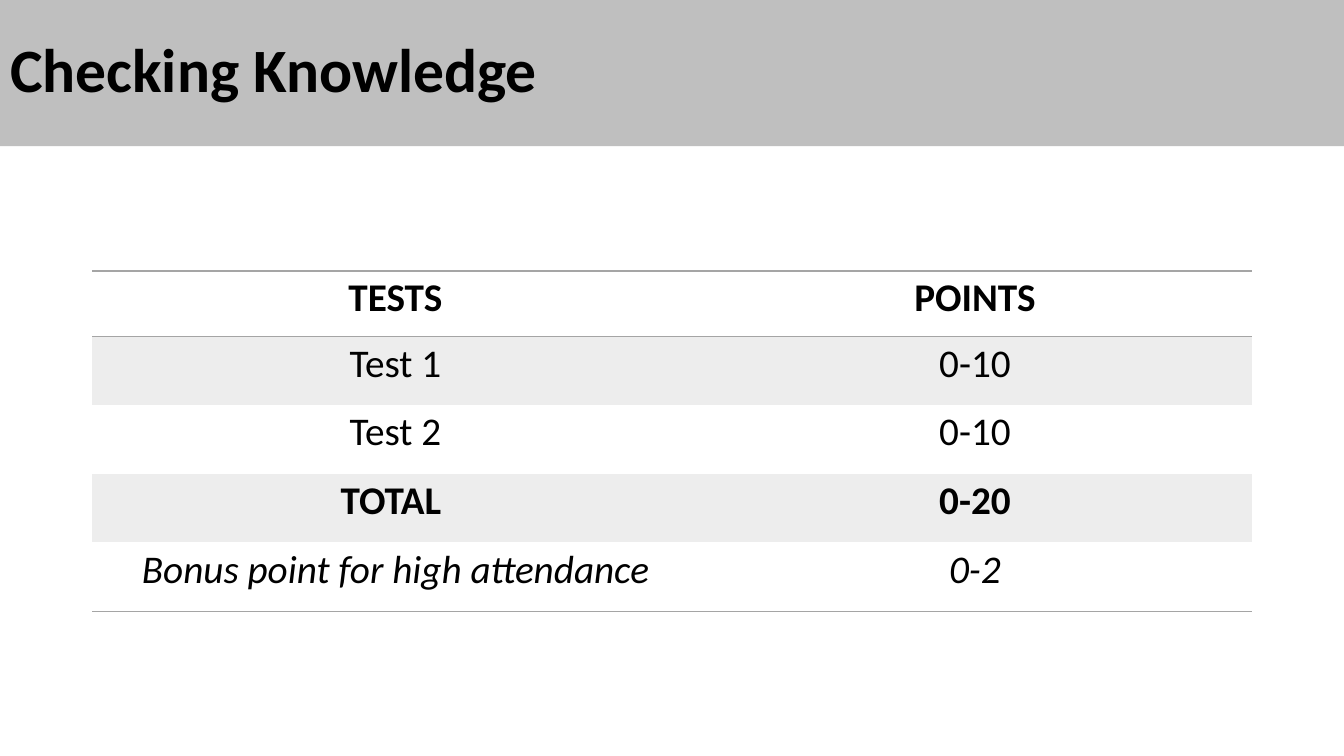
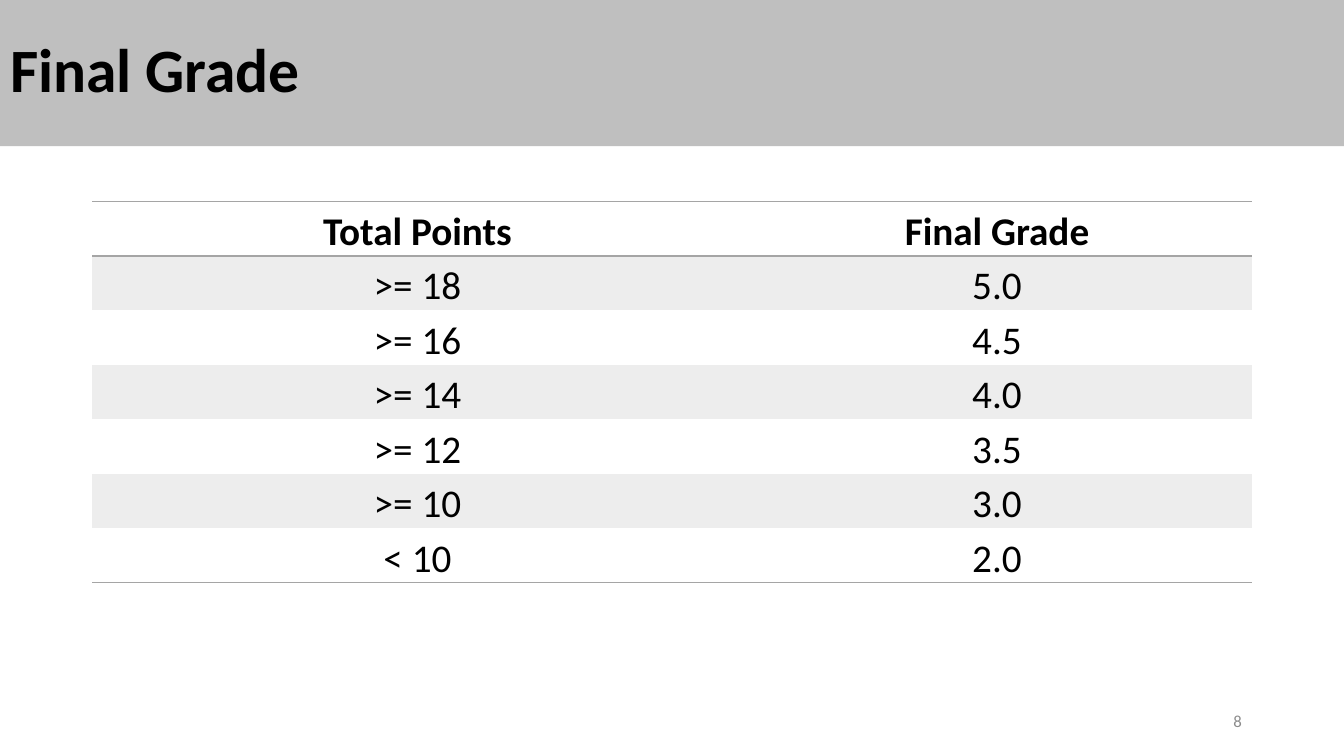
from dataclasses import dataclass

from lxml import etree
from pptx import Presentation
from pptx.dml.color import RGBColor
from pptx.enum import text as t
from pptx.oxml import ns
from pptx.slide import Slide
from pptx.table import _Cell as Cell
from pptx.text.text import _Paragraph as Para
from pptx.util import Cm, Length, Pt


@dataclass(frozen=True)
class Theme:
    font: str = "Calibri"
    ink: str = "000000"
    band: str = "BFBFBF"
    rule: str = "A5A5A5"
    stripe: str = "EDEDED"
    muted: str = "8C8C8C"
    title: int = 44
    body: int = 28
    small: int = 12
    plain: str = "{2D5ABB26-0587-4C30-8999-92F81FD0307C}"  # table style without grid


@dataclass(frozen=True)
class Row:
    cells: tuple[str, str]
    bold: bool = False
    italic: bool = False


@dataclass(frozen=True)
class Grid:
    rows: list[Row]
    top: Length
    cols: tuple[Length, Length]
    head: Length
    step: Length
    side: Length
    pad: Length = Cm(0)
    after: Length = Pt(0)
    margin: Length = Cm(0)
    indent: Length = Cm(0)


THEME = Theme()
WIDTH, HEIGHT = Cm(33.87), Cm(19.05)
LEFT = Cm(2.33)

TESTS = Grid(
    rows=[
        Row(("TESTS", "POINTS"), bold=True),
        Row(("Test 1", "0-10")),
        Row(("Test 2", "0-10")),
        Row(("TOTAL ", "0-20"), bold=True),
        Row(("Bonus point for high attendance", "0-2"), italic=True),
    ],
    top=Cm(6.83), cols=(Cm(15.27), Cm(13.94)), head=Cm(1.65), step=Cm(1.73),
    side=Cm(0.58), after=Pt(8),
)
GRADES = Grid(
    rows=[
        Row(("Total Points", "Final Grade"), bold=True),
        Row((">= 18", "5.0")),
        Row((">= 16", "4.5")),
        Row((">= 14", "4.0")),
        Row((">= 12", "3.5")),
        Row((">= 10", "3.0")),
        Row(("< 10", "2.0")),
    ],
    top=Cm(5.08), cols=(Cm(14.76), Cm(14.45)), head=Cm(1.35), step=Cm(1.35),
    side=Cm(0.53), pad=Cm(0.08), margin=Cm(2.26), indent=Cm(-0.64),
)


def style(para: Para, size: int, color: str, bold: bool = False, italic: bool = False) -> None:
    font = para.font
    font.name, font.size = THEME.font, Pt(size)
    font.bold, font.italic = bold, italic
    font.color.rgb = RGBColor.from_string(color)


def add_page(prs: Presentation, title: str) -> Slide:
    """Add a slide with its title in the full-width grey band."""
    slide = prs.slides.add_slide(prs.slide_layouts[5])
    band = slide.shapes.title
    band.left, band.top, band.width, band.height = 0, 0, WIDTH, Cm(3.68)
    band.fill.solid()
    band.fill.fore_color.rgb = RGBColor.from_string(THEME.band)
    frame = band.text_frame
    frame.text = title
    frame.auto_size = t.MSO_AUTO_SIZE.NONE
    frame.vertical_anchor = t.MSO_ANCHOR.MIDDLE
    para = frame.paragraphs[0]
    para.alignment, para.line_spacing = t.PP_ALIGN.LEFT, 0.9
    style(para, THEME.title, THEME.ink, bold=True)
    return slide


def rule_cell(cell: Cell, sides: list[str]) -> None:
    """Draw a thin line on the given sides, named T and B in that order."""
    props = cell._tc.get_or_add_tcPr()
    for spot, side in enumerate(sides):
        line = etree.Element(ns.qn(f"a:ln{side}"), w=str(Pt(1)))
        fill = etree.SubElement(line, ns.qn("a:solidFill"))
        etree.SubElement(fill, ns.qn("a:srgbClr"), val=THEME.rule)
        props.insert(spot, line)


def fill_cell(cell: Cell, words: str, row: Row, grid: Grid, striped: bool) -> None:
    cell.text = words
    cell.margin_left = cell.margin_right = grid.side
    cell.margin_top, cell.margin_bottom = grid.pad, 0
    if striped:
        cell.fill.solid()
        cell.fill.fore_color.rgb = RGBColor.from_string(THEME.stripe)
    else:
        cell.fill.background()
    para = cell.text_frame.paragraphs[0]
    para.alignment, para.line_spacing = t.PP_ALIGN.CENTER, 1.07
    para.space_after = grid.after
    props = para._p.get_or_add_pPr()
    props.set("marL", str(grid.margin))
    props.set("indent", str(grid.indent))
    style(para, THEME.body, THEME.ink, row.bold, row.italic)


def add_grid(slide: Slide, grid: Grid) -> None:
    last = len(grid.rows) - 1
    frame = slide.shapes.add_table(
        last + 1, len(grid.cols), LEFT, grid.top, sum(grid.cols), grid.head + last * grid.step
    )
    table = frame.table
    table.horz_banding = False
    frame.element.xpath(".//a:tableStyleId")[0].text = THEME.plain
    for col, width in zip(table.columns, grid.cols):
        col.width = width
    for i, row in enumerate(grid.rows):
        table.rows[i].height = grid.step if i else grid.head
        sides = ["T", "B"] if i == 0 else ["B"] if i == last else []
        for j, words in enumerate(row.cells):
            cell = table.cell(i, j)
            fill_cell(cell, words, row, grid, striped=i % 2 == 1)
            rule_cell(cell, sides)


def add_number(slide: Slide, number: int) -> None:
    box = slide.shapes.add_textbox(Cm(23.93), Cm(17.65), Cm(7.62), Cm(1.02))
    frame = box.text_frame
    frame.word_wrap = True
    frame.vertical_anchor = t.MSO_ANCHOR.MIDDLE
    frame.text = str(number)
    para = frame.paragraphs[0]
    para.alignment = t.PP_ALIGN.RIGHT
    style(para, THEME.small, THEME.muted)


def main() -> None:
    prs = Presentation()
    prs.slide_width, prs.slide_height = WIDTH, HEIGHT
    add_grid(add_page(prs, "Checking Knowledge"), TESTS)
    final = add_page(prs, "Final Grade")
    add_grid(final, GRADES)
    add_number(final, 8)
    prs.save("out.pptx")


if __name__ == "__main__":
    main()
